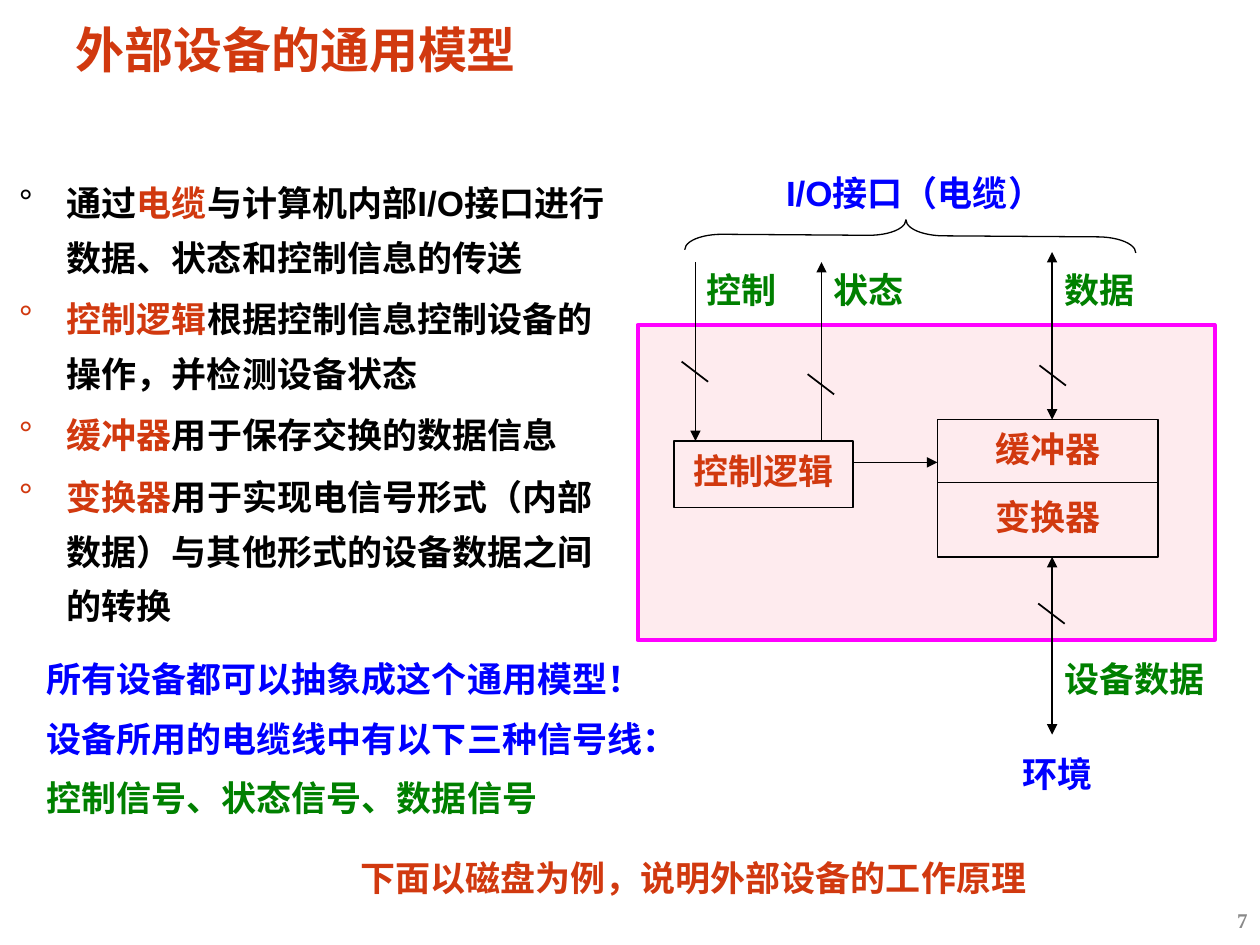
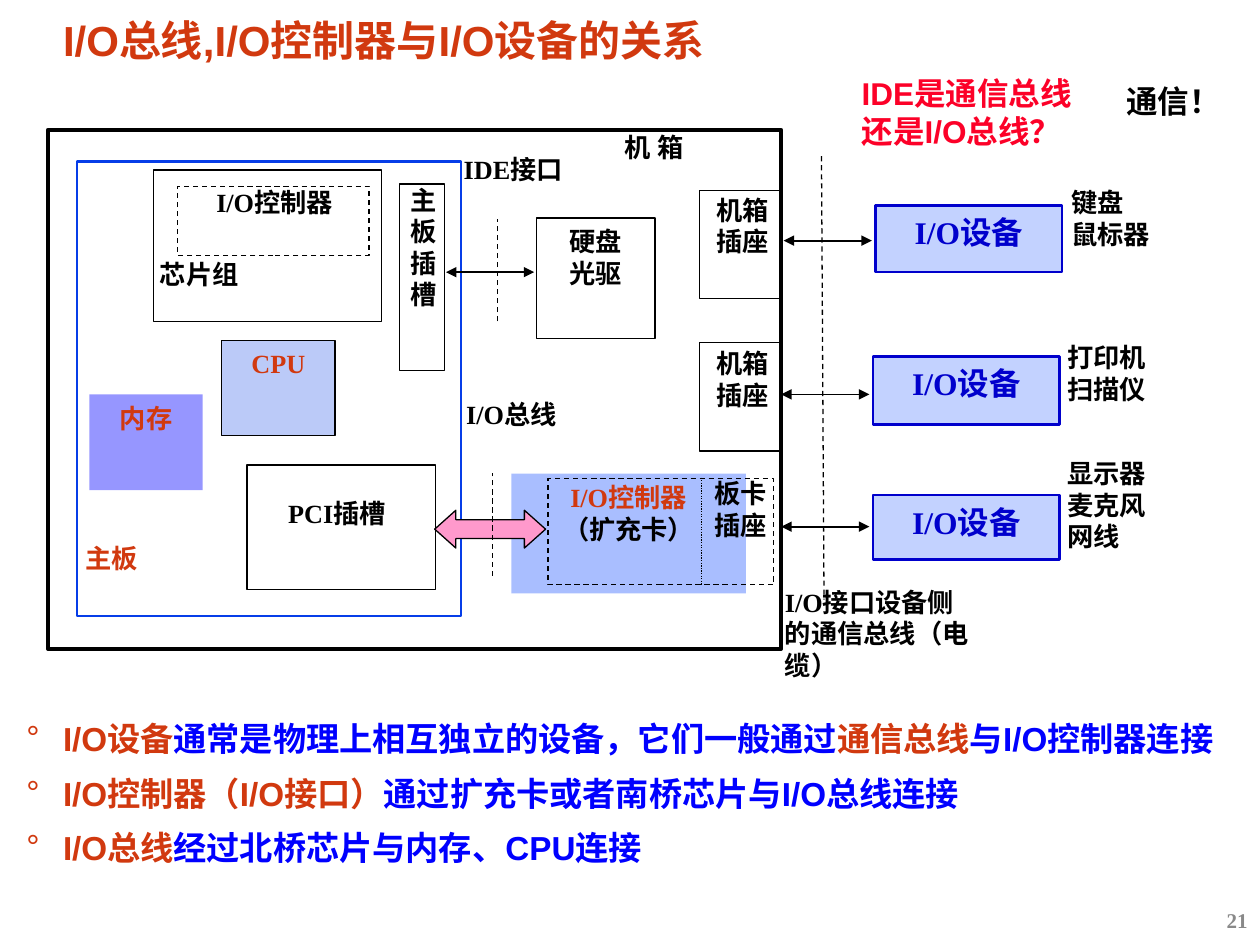
from dataclasses import dataclass

from lxml import etree
from pptx import Presentation
from pptx import util as u
from pptx.dml import color as dml
from pptx.enum import dml as styles
from pptx.enum import shapes, text
from pptx.oxml import ns


@dataclass(frozen=True)
class Theme:
    red: str = "D1390F"
    alert: str = "FC0128"
    blue: str = "0000FF"
    device: str = "0000CC"
    board: str = "063DE8"
    card: str = "3366FF"
    green: str = "008000"
    magenta: str = "FF00FF"
    pink: str = "FF99CC"
    black: str = "000000"
    white: str = "FFFFFF"
    grey: str = "898989"
    sans: str = "Arial"
    serif: str = "Times New Roman"
    chinese: str = "Noto Sans CJK SC"
    large: int = 20
    list_small: int = 19
    medium: int = 18
    label: int = 15
    number: int = 12


theme = Theme()
RECT = shapes.MSO_SHAPE.RECTANGLE
DASH = styles.MSO_LINE.DASH
CENTER, RIGHT = text.PP_ALIGN.CENTER, text.PP_ALIGN.RIGHT
WIDE = (0.13, 0.06, 0.13, 0.06)
SNUG = (0.07, 0.03, 0.07, 0.03)
NORMAL = (0.1, 0.05, 0.1, 0.05)


def write(box, paras, size=theme.label, color=theme.black, font=theme.serif,
          align=text.PP_ALIGN.LEFT, inset=WIDE, spacing=None, before=0,
          bullet=None, anchor=text.MSO_ANCHOR.TOP):
    """Fill a box; a paragraph is a string or a list of (text, colour) spans."""
    frame = box.text_frame
    frame.word_wrap = True
    frame.auto_size = text.MSO_AUTO_SIZE.NONE
    frame.vertical_anchor = anchor
    (frame.margin_left, frame.margin_top,
     frame.margin_right, frame.margin_bottom) = map(u.Inches, inset)
    for i, spans in enumerate([paras] if isinstance(paras, str) else paras):
        para = frame.add_paragraph() if i else frame.paragraphs[0]
        para.alignment = align
        para.space_before = u.Pt(before * size)
        if spacing:
            para.line_spacing = spacing
        if bullet:
            props = para._p.get_or_add_pPr()
            props.set("marL", str(u.Inches(bullet)))
            props.set("indent", str(-u.Inches(bullet)))
            etree.SubElement(props, ns.qn("a:buChar")).set("char", "°")
        for words, tint in [(spans, color)] if isinstance(spans, str) else spans:
            span = para.add_run()
            span.text = words
            span.font.size, span.font.bold, span.font.name = u.Pt(size), True, font
            span.font.color.rgb = dml.RGBColor.from_string(tint)
            asian = etree.SubElement(span.font._element, ns.qn("a:ea"))
            asian.set("typeface", theme.chinese)


def draw(page, kind, at, fill=None, alpha=100, line=None, width=0.75, dash=None, ends=""):
    """Draw a "line" (x1, y1, x2, y2), a "text" box or a preset shape (x, y, w, h)."""
    lengths = [u.Inches(n) for n in at]
    if kind == "text":
        return page.shapes.add_textbox(*lengths)
    if kind == "line":
        item = page.shapes.add_connector(shapes.MSO_CONNECTOR.STRAIGHT, *lengths)
        line = line or theme.black
    else:
        item = page.shapes.add_shape(kind, *lengths)
        item.shadow.inherit = False
        if fill:
            item.fill.solid()
            item.fill.fore_color.rgb = dml.RGBColor.from_string(fill)
            tint = item.element.spPr.find(ns.qn("a:solidFill"))[0]
            etree.SubElement(tint, ns.qn("a:alpha")).set("val", str(alpha * 1000))
        else:
            item.fill.background()
    if line:
        item.line.color.rgb = dml.RGBColor.from_string(line)
        item.line.width = u.Pt(width)
        if dash:
            item.line.dash_style = dash
    else:
        item.line.fill.background()
    if kind == "line":
        props = item.element.spPr
        for end in ends.split():
            etree.SubElement(props.find(ns.qn("a:ln")), ns.qn(f"a:{end}End")).set("type", "triangle")
        etree.SubElement(props, ns.qn("a:effectLst"))
    return item


deck = Presentation()
deck.slide_width, deck.slide_height = u.Inches(10), u.Inches(7.5)

# Titles, lists and page numbers
contents = [
    dict(number="7", title="外部设备的通用模型", title_at=(0.53, 0.19, 9.12, 0.46),
         title_format=dict(size=28, font=theme.chinese, spacing=0.87),
         body_at=(0.08, 1.31, 4.87, 4.23),
         body_format=dict(size=theme.large, spacing=1.3, bullet=0.38),
         body=[
             [("通过", theme.black), ("电缆", theme.red),
              ("与计算机内部I/O接口进行数据、状态和控制信息的传送", theme.black)],
             [("控制逻辑", theme.red), ("根据控制信息控制设备的操作，并检测设备状态", theme.black)],
             [("缓冲器", theme.red), ("用于保存交换的数据信息", theme.black)],
             [("变换器", theme.red),
              ("用于实现电信号形式（内部数据）与其他形式的设备数据之间的转换", theme.black)]]),
    dict(number="21", title="I/O总线,I/O控制器与I/O设备的关系", title_at=(0.43, 0.16, 8.89, 0.38),
         title_format=dict(size=24, font=theme.sans, spacing=0.8),
         body_at=(0.14, 5.61, 9.7, 1.34),
         body_format=dict(size=theme.list_small, spacing=1.2, bullet=0.29),
         body=[
             [("I/O设备", theme.red), ("通常是物理上相互独立的设备，它们一般通过", theme.blue),
              ("通信总线", theme.red), ("与I/O控制器连接", theme.blue)],
             [("I/O控制器（I/O接口）", theme.red), ("通过扩充卡或者南桥芯片与I/O总线连接", theme.blue)],
             [("I/O总线", theme.red), ("经过北桥芯片与内存、CPU连接", theme.blue)]]),
]
pages = []
for content in contents:
    page = deck.slides.add_slide(deck.slide_layouts[1])
    title, body = page.placeholders
    for box, at in ((title, content["title_at"]), (body, content["body_at"])):
        box.left, box.top, box.width, box.height = map(u.Inches, at)
    write(title, content["title"], color=theme.red, inset=SNUG, **content["title_format"])
    write(body, content["body"], font=theme.sans, inset=SNUG, before=0.2, **content["body_format"])
    write(draw(page, "text", (7.75, 7.1, 2.25, 0.4)), content["number"], size=theme.number,
          color=theme.grey, align=RIGHT, inset=NORMAL, anchor=text.MSO_ANCHOR.MIDDLE)
    pages.append(page)
model, relation = pages

# General model: device frame and its parts
draw(model, RECT, (5.06, 2.58, 4.58, 2.5), theme.alert, 8, theme.magenta, 2.25)
for at, names in (((5.35, 3.5, 1.42, 0.53), ["控制逻辑"]),
                  ((7.44, 3.33, 1.75, 1.09), ["缓冲器", "变换器"])):
    write(draw(model, RECT, at, line=theme.black), names, size=theme.large, color=theme.red,
          align=CENTER, inset=(0, 0, 0, 0.12), spacing=1.2, before=0.5)

# General model: signal lines, with a slash across each bundle
for at, ends in (((7.44, 3.83, 9.19, 3.83), ""),
                 ((6.77, 3.67, 7.44, 3.67), "tail"),
                 ((5.52, 2.08, 5.52, 3.5), "tail"),
                 ((6.52, 2.08, 6.52, 3.5), "head"),
                 ((8.35, 2, 8.35, 3.33), "head tail"),
                 ((8.35, 4.42, 8.35, 5.83), "head tail")):
    draw(model, "line", at, ends=ends)
for x, y in ((5.41, 2.87), (6.41, 2.97), (8.25, 2.9), (8.24, 4.79)):
    draw(model, "line", (x, y, x + 0.21, y + 0.16), width=1)
brace = draw(model, shapes.MSO_SHAPE.LEFT_BRACE, (7.1, 0.08, 0.25, 3.58), line=theme.black)
brace.rotation = 90.4
brace.adjustments[0], brace.adjustments[1] = 1.19, 0.51

# General model: labels and remarks
for x, y, width, name, color in ((5.51, 2.08, 1.19, "控制", theme.green),
                                 (6.52, 2.08, 1.07, "状态", theme.green),
                                 (8.35, 2.08, 1.62, "数据", theme.green),
                                 (8.35, 5.17, 1.53, "设备数据", theme.green),
                                 (8.02, 5.92, 1.18, "环境", theme.blue)):
    write(draw(model, "text", (x, y, width, 0.43)), name, size=theme.large, color=color, inset=NORMAL)
remarks = ["所有设备都可以抽象成这个通用模型！", "设备所用的电缆线中有以下三种信号线：",
           [("控制信号、状态信号、数据信号", theme.green)]]
for at, words, color in (((6.14, 1.31, 2.43, 0.43), "I/O接口（电缆）", theme.blue),
                         ((0.27, 5.17, 5.27, 1.43), remarks, theme.blue),
                         ((2.76, 6.75, 5.65, 0.43), "下面以磁盘为例，说明外部设备的工作原理", theme.red)):
    write(draw(model, "text", at), words, size=theme.large, color=color, font=theme.sans,
          inset=NORMAL, before=0.5)

# Relation: filled boxes with text
for at, fill, alpha, line, words, color in (
        ((4.26, 1.73, 0.94, 0.96), theme.white, 100, theme.black, ["硬盘", "光驱"], theme.black),
        ((1.76, 2.7, 0.9, 0.76), theme.board, 27, theme.black, "CPU", theme.red),
        ((0.71, 3.13, 0.9, 0.76), theme.blue, 41, None, "内存", theme.red),
        ((4.06, 3.76, 1.86, 0.95), theme.card, 42, None,
         ["I/O控制器", [("（扩充卡）", theme.black)]], theme.red)):
    write(draw(relation, RECT, at, fill, alpha, line), words, color=color, align=CENTER)
for x, y, height in ((6.95, 1.63, 0.53), (6.93, 2.83, 0.54), (6.93, 3.93, 0.51)):
    device = draw(relation, RECT, (x, y, 1.48, height), theme.card, 29, theme.device, 1.5)
    write(device, "I/O设备", size=theme.medium, color=theme.device, align=CENTER)

# Relation: outlines of case, main board, slots and sockets
for at, color, width, dash in (((0.61, 1.28, 3.05, 3.61), theme.board, 1.5, None),
                               ((0.38, 1.03, 5.82, 4.12), theme.black, 2.25, None),
                               ((4.35, 3.8, 1.79, 0.84), theme.black, 0.75, DASH),
                               ((1.41, 1.48, 1.52, 0.55), theme.black, 0.75, DASH),
                               ((1.22, 1.35, 1.81, 1.2), theme.black, 0.75, None),
                               ((1.96, 3.69, 1.5, 0.99), theme.black, 0.75, None),
                               ((3.17, 1.46, 0.36, 1.48), theme.black, 0.75, None),
                               ((5.55, 1.51, 0.65, 0.86), theme.black, 0.75, None),
                               ((5.55, 2.72, 0.65, 0.86), theme.black, 0.75, None)):
    draw(relation, RECT, at, line=color, width=width, dash=dash)

# Relation: buses and connections
bus = draw(relation, shapes.MSO_SHAPE.LEFT_RIGHT_ARROW, (3.45, 4.05, 0.88, 0.3),
           theme.pink, line=theme.black)
bus.adjustments[0], bus.adjustments[1] = 0.5, 0.56
for x, y in ((3.54, 2.16), (6.22, 1.91), (6.2, 3.13), (6.2, 4.18)):
    draw(relation, "line", (x, y, x + 0.7, y), width=1, ends="head tail")
for at, dash in (((5.57, 3.79, 5.57, 4.64), styles.MSO_LINE.ROUND_DOT),
                 ((6.52, 1.24, 6.54, 4.76), DASH),
                 ((3.91, 4.57, 3.91, 3.75), DASH),
                 ((3.95, 2.55, 3.95, 1.74), DASH)):
    draw(relation, "line", at, dash=dash)

# Relation: labels
for at, words, options in (
        ((8.37, 1.42, 1.31, 1.09), ["键盘", "鼠标器"], {}),
        ((8.34, 2.65, 1.34, 0.99), ["打印机", "扫描仪"], {}),
        ((8.34, 3.57, 1.31, 1.25), ["显示器", "麦克风", "网线"], {}),
        ((3.57, 3.1, 1.34, 0.69), "I/O总线", {}),
        ((3.55, 1.16, 1.39, 0.69), "IDE接口", {}),
        ((6.1, 4.59, 1.81, 1.04), "I/O接口设备侧的通信总线（电缆）", {}),
        ((1.14, 1.99, 1.26, 0.77), "芯片组", {}),
        ((0.55, 4.24, 0.99, 0.72), "主板", dict(color=theme.red)),
        ((4.83, 0.88, 1.06, 0.76), "机 箱", dict(spacing=1.4)),
        ((5.42, 1.48, 0.95, 0.95), ["机箱", "插座"], dict(align=CENTER)),
        ((5.42, 2.7, 0.95, 0.95), ["机箱", "插座"], dict(align=CENTER)),
        ((5.4, 3.73, 0.95, 0.95), ["板卡", "插座"], dict(align=CENTER)),
        ((1.23, 1.42, 1.9, 0.65), "I/O控制器", dict(align=CENTER)),
        ((1.75, 3.89, 1.85, 0.88), "PCI插槽", dict(align=CENTER)),
        ((3.05, 1.4, 0.63, 1.63), "主板插槽", dict(align=CENTER))):
    write(draw(relation, "text", at), words, **options)

# Relation: question and answer
write(draw(relation, RECT, (6.74, 0.54, 1.89, 0.7), theme.white), "IDE是通信总线还是I/O总线？",
      size=theme.medium, color=theme.alert, font=theme.sans, inset=NORMAL, before=0.5)
write(draw(relation, "text", (8.84, 0.6, 1.13, 0.4)), "通信！",
      size=theme.medium, inset=NORMAL, before=0.5)

deck.save("out.pptx")
